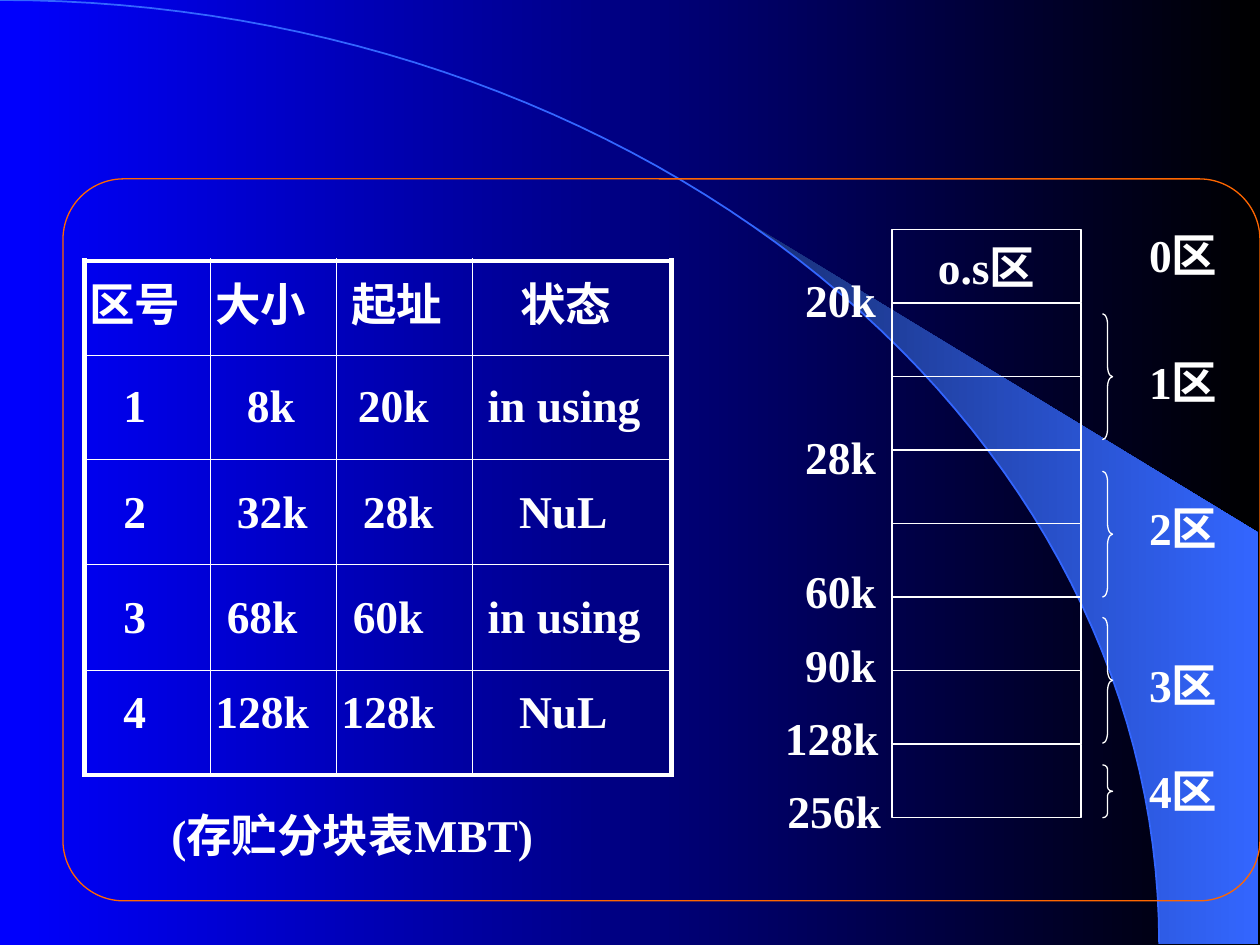
import math
from dataclasses import dataclass

from lxml import etree
from pptx import Presentation
from pptx import util as u
from pptx.dml import color
from pptx.enum import shapes, text
from pptx.oxml import ns


@dataclass(frozen=True)
class Theme:
    white: str = "FFFFFF"
    blue: str = "0000FF"
    black: str = "000000"
    navy: str = "182F76"
    sky: str = "3366FF"
    orange: str = "FF6600"
    font: str = "Times New Roman"
    size: float = 26
    thin: float = 0.75
    curve: float = 1
    thick: float = 3


THEME = Theme()

COLUMN_EDGES = [0.67, 1.67, 2.67, 3.75, 5.33]
ROW_EDGES = [2.07, 2.82, 3.65, 4.48, 5.32, 6.15]
TEXT_TOPS = [2.11, 3.01, 3.85, 4.69, 5.44]
BLOCKS = [
    [("区号", 0.67), ("大小", 1.67), ("起址", 2.75), ("状态", 4.09)],
    [("1", 0.94), ("8k", 1.92), ("20k", 2.8), ("in using", 3.83)],
    [("2", 0.94), ("32k", 1.84), ("28k", 2.84), ("NuL", 4.08)],
    [("3", 0.94), ("68k", 1.76), ("60k", 2.76), ("in using", 3.83)],
    [("4", 0.94), ("128k", 1.67), ("128k", 2.67), ("NuL", 4.08)],
]
ADDRESSES = [
    ("20k", 6.33, 2.09), ("28k", 6.33, 3.34), ("60k", 6.33, 4.4),
    ("90k", 6.33, 4.99), ("128k", 6.17, 5.57), ("256k", 6.19, 6.15),
]
ZONE_TOPS = [1.73, 2.74, 3.9, 5.15, 5.99]
BRACES = [(2.49, 1), (3.74, 1), (4.9, 1), (6.07, 0.42)]
MEMORY_CELLS = 8
MEMORY_TOP, MEMORY_HEIGHT = 1.82, 4.67


def rgb(value):
    return color.RGBColor.from_string(value)


def set_gradient(fill, start, end):
    fill.gradient()
    fill.gradient_angle = 0
    for stop, value in zip(fill.gradient_stops, (start, end)):
        stop.color.rgb = rgb(value)


def set_outline(shape, value, width):
    shape.shadow.inherit = False
    shape.fill.background()
    shape.line.color.rgb = rgb(value)
    shape.line.width = u.Pt(width)


def write(frame, words, align=text.PP_ALIGN.LEFT):
    frame.text = words
    para = frame.paragraphs[0]
    para.alignment = align
    for span in para.runs:
        span.font.name = THEME.font
        span.font.size = u.Pt(THEME.size)
        span.font.bold = True
        span.font.color.rgb = rgb(THEME.white)


def set_margins(frame, side, end):
    frame.margin_left = frame.margin_right = u.Inches(side)
    frame.margin_top = frame.margin_bottom = u.Inches(end)


def add_outline(slide, kind, left, top, width, height, value=THEME.white):
    shape = slide.shapes.add_shape(kind, *map(u.Inches, (left, top, width, height)))
    set_outline(shape, value, THEME.thin)
    return shape


def add_label(slide, words, left, top, width, height=0.57):
    box = slide.shapes.add_textbox(*map(u.Inches, (left, top, width, height)))
    frame = box.text_frame
    frame.word_wrap = False
    frame.vertical_anchor = text.MSO_ANCHOR.MIDDLE
    set_margins(frame, 0.06, 0.03)
    write(frame, words)


def arc_points(start, steps=60):
    angles = [start + (math.pi / 2 - start) * i / steps for i in range(steps + 1)]
    return [(9.2 * math.sin(a), 7.49 * (1 - math.cos(a))) for a in angles]


def add_freeform(slide, points, close):
    vertices = [(u.Inches(x), u.Inches(y)) for x, y in points]
    builder = slide.shapes.build_freeform(*vertices[0], scale=1.0)
    builder.add_line_segments(vertices[1:], close=close)
    return builder.convert_to_shape()


def add_backdrop(slide):
    set_gradient(slide.background.fill, THEME.blue, THEME.black)
    fan_points = arc_points(math.asin(5.89 / 9.2)) + [(9.99, 7.49), (9.99, 4.23)]
    fan = add_freeform(slide, fan_points, True)
    fan.shadow.inherit = False
    set_gradient(fan.fill, THEME.navy, THEME.sky)
    fan.line.fill.background()
    curve = add_freeform(slide, arc_points(0), False)
    set_outline(curve, THEME.sky, THEME.curve)
    frame = add_outline(slide, shapes.MSO_SHAPE.ROUNDED_RECTANGLE,
                        0.5, 1.42, 9.5, 5.73, THEME.orange)
    frame.adjustments[0] = 0.084


def set_borders(cell, outer_sides):
    properties = cell._tc.get_or_add_tcPr()
    for index, side in enumerate(("lnL", "lnR", "lnT", "lnB")):
        width = THEME.thick if side in outer_sides else THEME.thin
        line = etree.Element(ns.qn(f"a:{side}"), w=str(u.Pt(width)))
        fill = etree.SubElement(line, ns.qn("a:solidFill"))
        etree.SubElement(fill, ns.qn("a:srgbClr"), val=THEME.white)
        properties.insert(index, line)


def add_block_table(slide):
    rows, columns = len(BLOCKS), len(BLOCKS[0])
    left, top = COLUMN_EDGES[0], ROW_EDGES[0]
    width, height = COLUMN_EDGES[-1] - left, ROW_EDGES[-1] - top
    table = slide.shapes.add_table(
        rows, columns, *map(u.Inches, (left, top, width, height))).table
    table.first_row = table.horz_banding = False
    for c, column in enumerate(table.columns):
        column.width = u.Inches(COLUMN_EDGES[c + 1] - COLUMN_EDGES[c])
    for r, row in enumerate(table.rows):
        row.height = u.Inches(ROW_EDGES[r + 1] - ROW_EDGES[r])
        for c, (words, text_left) in enumerate(BLOCKS[r]):
            cell = table.cell(r, c)
            cell.fill.background()
            cell.margin_left = u.Inches(text_left - COLUMN_EDGES[c] + 0.04)
            cell.margin_top = u.Inches(TEXT_TOPS[r] - ROW_EDGES[r] + 0.02)
            cell.margin_right = cell.margin_bottom = 0
            cell.vertical_anchor = text.MSO_ANCHOR.TOP
            write(cell.text_frame, words)
            edges = {"lnL": c == 0, "lnR": c == columns - 1,
                     "lnT": r == 0, "lnB": r == rows - 1}
            set_borders(cell, [side for side, outer in edges.items() if outer])


def add_memory_map(slide):
    step = MEMORY_HEIGHT / MEMORY_CELLS
    cells = [add_outline(slide, shapes.MSO_SHAPE.RECTANGLE,
                         7.08, MEMORY_TOP + i * step, 1.5, step)
             for i in range(MEMORY_CELLS)]
    frame = cells[0].text_frame
    frame.word_wrap = False
    frame.vertical_anchor = text.MSO_ANCHOR.MIDDLE
    set_margins(frame, 0.06, 0.03)
    write(frame, "o.s区", text.PP_ALIGN.CENTER)
    for words, left, top in ADDRESSES:
        add_label(slide, words, left, top, 0.9 if len(words) > 3 else 0.72)
    for top, height in BRACES:
        brace = add_outline(slide, shapes.MSO_SHAPE.RIGHT_BRACE, 8.75, top, 0.08, height)
        brace.adjustments[0] = height / 12 / 0.08
    for zone, top in enumerate(ZONE_TOPS):
        add_label(slide, f"{zone}区", 9.06, top, 0.9)


def main():
    deck = Presentation()
    deck.slide_width, deck.slide_height = u.Inches(10), u.Inches(7.5)
    slide = deck.slides.add_slide(deck.slide_layouts[6])
    add_backdrop(slide)
    add_memory_map(slide)
    add_block_table(slide)
    add_label(slide, "(存贮分块表MBT)", 1.3, 6.39, 3.5, 0.47)
    deck.save("out.pptx")


if __name__ == "__main__":
    main()
